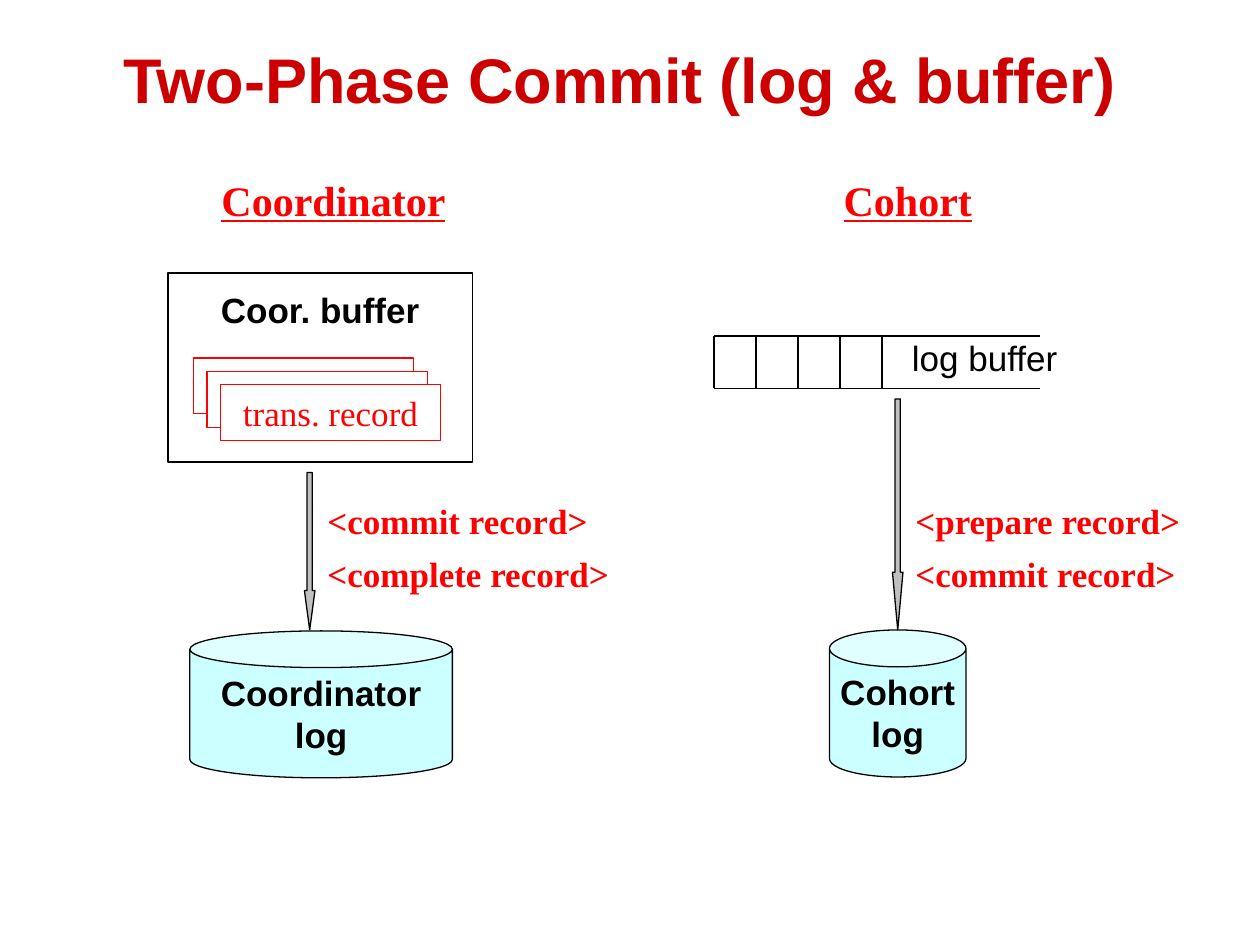
from dataclasses import dataclass

from lxml import etree
from pptx import Presentation
from pptx.dml.color import RGBColor
from pptx.enum.shapes import MSO_CONNECTOR, MSO_SHAPE
from pptx.enum.text import MSO_ANCHOR, PP_ALIGN
from pptx.oxml.ns import qn
from pptx.util import Pt

RECT, CAN, DOWN_ARROW = MSO_SHAPE.RECTANGLE, MSO_SHAPE.CAN, MSO_SHAPE.DOWN_ARROW
STRAIGHT = MSO_CONNECTOR.STRAIGHT
LEFT, CENTER = PP_ALIGN.LEFT, PP_ALIGN.CENTER
TOP, MIDDLE = MSO_ANCHOR.TOP, MSO_ANCHOR.MIDDLE

SANS, SERIF = "Arial", "Times New Roman"
BLACK, WHITE, RED, TITLE_RED = "000000", "FFFFFF", "FF0000", "CC0000"
AQUA, GREY = "CCFFFF", "C0C0C0"
LINE_WIDTH = 0.75


@dataclass
class Box:
    x: float
    y: float
    w: float
    h: float


@dataclass
class Style:
    font: str = SANS
    size: float = 20
    color: str = BLACK
    bold: bool = False
    underline: bool = False
    align: PP_ALIGN = LEFT
    anchor: MSO_ANCHOR = TOP
    spacing: float = 1.0
    inset_top: float = 3.6
    wrap: bool = True


@dataclass
class Label:
    box: Box
    lines: list[str]
    style: Style


@dataclass
class Log:
    box: Box
    lines: list[str]
    rim: float


@dataclass
class Arrow:
    box: Box
    head: float


TITLE = Style(size=36, color=TITLE_RED, bold=True, align=CENTER, anchor=MIDDLE)
HEADING = Style(font=SERIF, size=24, color=RED, bold=True, underline=True)
RECORDS = Style(font=SERIF, color=RED, bold=True, spacing=1.25)
BUFFER = Style(bold=True, align=CENTER, inset_top=8.64, wrap=False)
RECORD = Style(font=SERIF, color=RED, align=CENTER)
LOG = Style(bold=True, align=CENTER, anchor=MIDDLE, wrap=False)

LABELS = [
    Label(Box(24, 0, 660, 90), ["Two-Phase Commit (log & buffer)"], TITLE),
    Label(Box(119.5, 96, 160, 36), ["Coordinator"], HEADING),
    Label(Box(475, 96, 120, 36), ["Cohort"], HEADING),
    Label(Box(514, 188.5, 116, 31), ["log buffer"], Style()),
    Label(Box(180, 276, 188, 67), ["<commit record>", "<complete record>"], RECORDS),
    Label(Box(516, 276, 166, 67), ["<prepare record>", "<commit record>"], RECORDS),
]
LOGS = [
    Log(Box(108.5, 360.5, 150, 84), ["Coordinator", "log"], 0.25),
    Log(Box(474, 360, 78, 84), ["Cohort", "log"], 0.27),
]
ARROWS = [
    Arrow(Box(174, 270, 6, 90), 3.75),
    Arrow(Box(510, 228, 6, 132), 5.5),
]
COORDINATOR_BUFFER = Box(96, 156, 174, 108)
RECORD_COUNT, RECORD_STEP = 3, 7.7
FIRST_RECORD = Box(110.5, 204.5, 126, 32)
LOG_BUFFER = Box(408, 192, 186, 30)
CELL_COUNT, CELL_WIDTH = 4, 24


def rgb(color: str) -> RGBColor:
    return RGBColor.from_string(color)


def write(sp, lines: list[str], style: Style) -> None:
    tf = sp.text_frame
    tf.word_wrap = style.wrap
    tf.vertical_anchor = style.anchor
    tf.margin_left = tf.margin_right = Pt(7.2)
    tf.margin_top, tf.margin_bottom = Pt(style.inset_top), Pt(3.6)
    for i, line in enumerate(lines):
        p = tf.add_paragraph() if i else tf.paragraphs[0]
        p.text = line
        p.alignment = style.align
        p.line_spacing = style.spacing
        p.font.name = style.font
        p.font.size = Pt(style.size)
        p.font.bold = style.bold
        p.font.underline = style.underline
        p.font.color.rgb = rgb(style.color)


def add_label(s, label: Label) -> None:
    b = label.box
    sp = s.shapes.add_textbox(Pt(b.x), Pt(b.y), Pt(b.w), Pt(b.h))
    write(sp, label.lines, label.style)


def add_shape(s, kind: MSO_SHAPE, b: Box, fill: str, line: str = BLACK):
    sp = s.shapes.add_shape(kind, Pt(b.x), Pt(b.y), Pt(b.w), Pt(b.h))
    sp.shadow.inherit = False
    sp.fill.solid()
    sp.fill.fore_color.rgb = rgb(fill)
    sp.line.color.rgb = rgb(line)
    sp.line.width = Pt(LINE_WIDTH)
    return sp


def add_line(s, x1: float, y1: float, x2: float, y2: float) -> None:
    sp = s.shapes.add_connector(STRAIGHT, Pt(x1), Pt(y1), Pt(x2), Pt(y2))
    sp.line.color.rgb = rgb(BLACK)
    sp.line.width = Pt(LINE_WIDTH)
    etree.SubElement(sp._element.spPr, qn("a:effectLst"))


def add_coordinator_buffer(s) -> None:
    sp = add_shape(s, RECT, COORDINATOR_BUFFER, WHITE)
    write(sp, ["Coor. buffer"], BUFFER)
    b = FIRST_RECORD
    for i in range(RECORD_COUNT):
        shift = i * RECORD_STEP
        sp = add_shape(s, RECT, Box(b.x + shift, b.y + shift, b.w, b.h), WHITE, RED)
    write(sp, ["trans. record"], RECORD)


def add_log_buffer(s) -> None:
    b = LOG_BUFFER
    for y in (b.y, b.y + b.h):
        add_line(s, b.x, y, b.x + b.w, y)
    for i in range(CELL_COUNT + 1):
        x = b.x + i * CELL_WIDTH
        add_line(s, x, b.y, x, b.y + b.h)


def add_log(s, log: Log) -> None:
    sp = add_shape(s, CAN, log.box, AQUA)
    sp.adjustments[0] = log.rim
    write(sp, log.lines, LOG)


def add_arrow(s, arrow: Arrow) -> None:
    sp = add_shape(s, DOWN_ARROW, arrow.box, GREY)
    sp.adjustments[0] = 0.5
    sp.adjustments[1] = arrow.head


def main() -> None:
    prs = Presentation()
    prs.slide_width, prs.slide_height = Pt(720), Pt(540)
    s = prs.slides.add_slide(prs.slide_layouts[6])
    add_coordinator_buffer(s)
    add_log_buffer(s)
    for log in LOGS:
        add_log(s, log)
    for arrow in ARROWS:
        add_arrow(s, arrow)
    for label in LABELS:
        add_label(s, label)
    prs.save("out.pptx")


if __name__ == "__main__":
    main()
